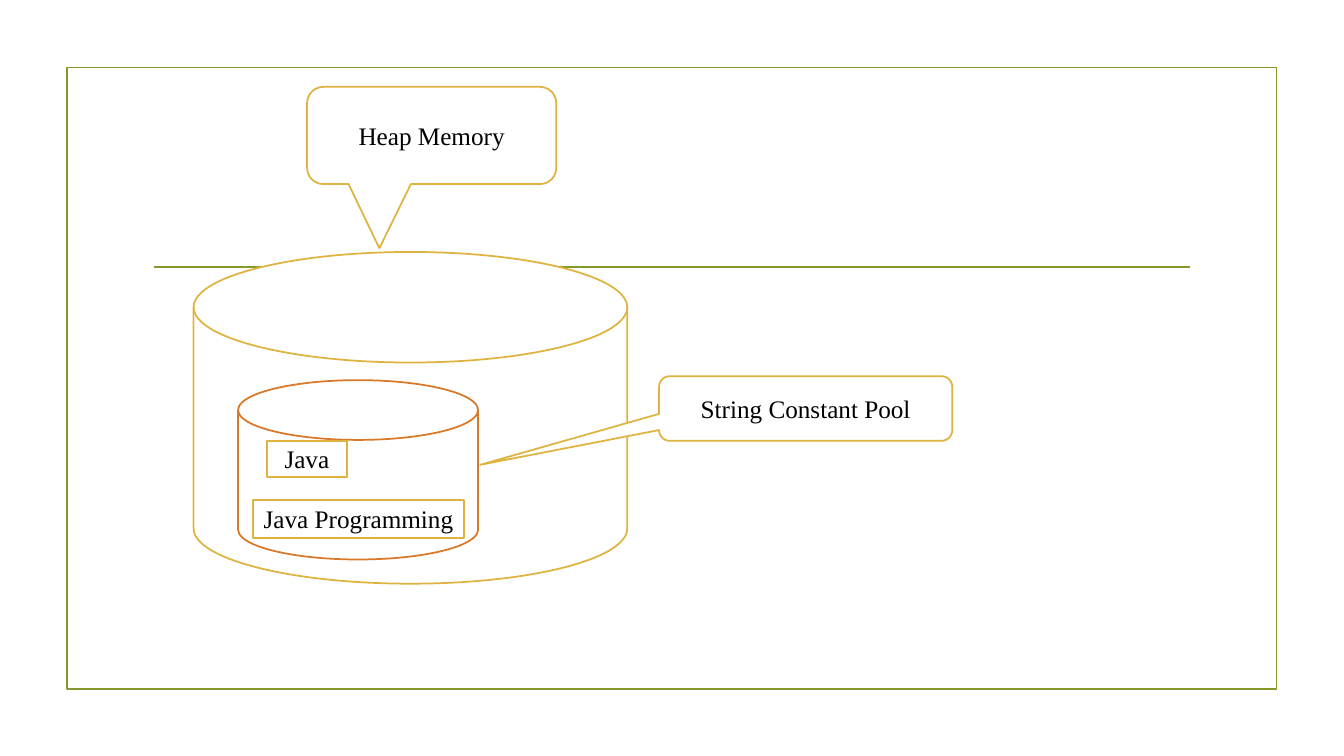
from lxml import etree
from pptx import Presentation
from pptx.dml.color import RGBColor
from pptx.enum.shapes import MSO_CONNECTOR, MSO_SHAPE
from pptx.enum.text import MSO_ANCHOR, PP_ALIGN
from pptx.oxml.ns import qn
from pptx.util import Cm, Pt

RECTANGLE = MSO_SHAPE.RECTANGLE
CYLINDER = MSO_SHAPE.FLOWCHART_MAGNETIC_DISK
CALLOUT = MSO_SHAPE.ROUNDED_RECTANGULAR_CALLOUT
STRAIGHT = MSO_CONNECTOR.STRAIGHT
MIDDLE = MSO_ANCHOR.MIDDLE
CENTER = PP_ALIGN.CENTER

COLORS = {
    "white": "FFFFFF",
    "green": "83992A",
    "gold": "DEB340",
    "orange": "D97828",
    "black": "000000",
}
FONT = "Times New Roman"
FONT_SIZE = Pt(18)
LINE_WIDTH = Pt(1.25)


def color(name):
    return RGBColor.from_string(COLORS[name])


def style_line(line, color_name):
    line.color.rgb = color(color_name)
    line.width = LINE_WIDTH


def add_outlined_shape(slide, kind, box, line_color):
    """Add a white shape; box is left, top, width, height in centimetres."""
    shape = slide.shapes.add_shape(kind, *map(Cm, box))
    shape.shadow.inherit = False
    shape.fill.solid()
    shape.fill.fore_color.rgb = color("white")
    style_line(shape.line, line_color)
    return shape


def add_label(slide, kind, box, text):
    shape = add_outlined_shape(slide, kind, box, "gold")
    frame = shape.text_frame
    frame.word_wrap = False
    frame.vertical_anchor = MIDDLE
    paragraph = frame.paragraphs[0]
    paragraph.alignment = CENTER
    run = paragraph.add_run()
    run.text = text
    run.font.name = FONT
    run.font.size = FONT_SIZE
    run.font.color.rgb = color("black")
    return shape


def add_callout(slide, box, text, tip):
    """Add a callout; tip is the offset from its centre as shares of its size."""
    callout = add_label(slide, CALLOUT, box, text)
    callout.adjustments[0], callout.adjustments[1] = tip


def add_divider(slide, left, right, top):
    divider = slide.shapes.add_connector(
        STRAIGHT, Cm(left), Cm(top), Cm(right), Cm(top))
    style_line(divider.line, "green")
    etree.SubElement(divider.element.spPr, qn("a:effectLst"))


def main():
    presentation = Presentation()
    presentation.slide_width = Cm(33.87)
    presentation.slide_height = Cm(19.05)
    slide = presentation.slides.add_slide(presentation.slide_layouts[6])

    add_outlined_shape(slide, RECTANGLE, (1.69, 1.7, 30.48, 15.67), "green")
    add_divider(slide, 3.89, 30, 6.73)

    add_outlined_shape(slide, CYLINDER, (4.88, 6.35, 10.93, 8.36), "gold")
    add_outlined_shape(slide, CYLINDER, (6, 9.58, 6.05, 4.52), "orange")
    add_label(slide, RECTANGLE, (6.38, 12.6, 5.31, 0.95), "Java Programming")
    add_label(slide, RECTANGLE, (6.73, 11.11, 2.01, 0.91), "Java")

    add_callout(slide, (16.61, 9.48, 7.39, 1.63), "String Constant Pool",
                (-1.11, 0.87))
    add_callout(slide, (7.74, 2.19, 6.28, 2.45), "Heap Memory",
                (-0.21, 1.16))

    presentation.save("out.pptx")


if __name__ == "__main__":
    main()
